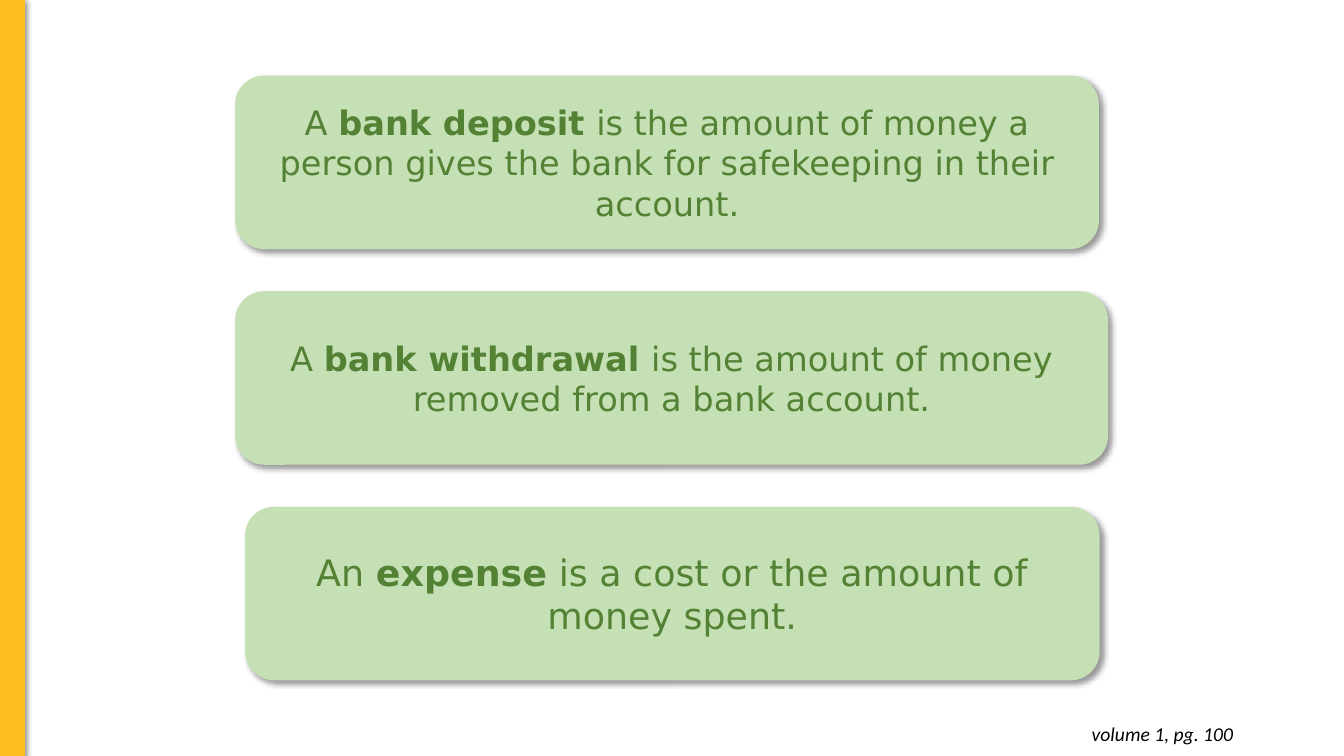
from lxml.etree import SubElement
from pptx import Presentation
from pptx.dml.color import RGBColor
from pptx.enum.shapes import MSO_SHAPE as SHAPE
from pptx.enum.text import MSO_ANCHOR as ANCHOR, MSO_AUTO_SIZE as AUTO, PP_ALIGN as ALIGN
from pptx.oxml.ns import qn
from pptx.util import Pt

COLORS = {"bar": "FCBD1E", "card": "C5E0B4", "definition": "548235", "black": "000000"}
BAR_SHADOW = {"opacity": 50, "blur": 4.5, "dist": 1.5, "angle": 90}
CARD_SHADOW = {"opacity": 40, "blur": 4, "dist": 3, "angle": 45}
CARD_TOP, CARD_STEP, CARD_HEIGHT = 54, 154, 124
# left, width, font size, text before the term, term, text after it
DEFINITIONS = [
    (168, 617, 24, "A ", "bank deposit ",
     "is the amount of money a person gives the bank for safekeeping in their account."),
    (168, 623.5, 24, "A ", "bank withdrawal ",
     "is the amount of money removed from a bank account."),
    (175, 610.5, 26, "An ", "expense", " is a cost or the amount of money spent."),
]


def rgb(name):
    return RGBColor.from_string(COLORS[name])


class SlideBuilder:
    def __init__(self, s):
        self.s = s
        self.font = "DejaVu Sans"

    def shadow(self, sp, opacity, blur, dist, angle):
        sp.shadow.inherit = False
        effects = sp._element.spPr.find(qn("a:effectLst"))
        outer = SubElement(effects, qn("a:outerShdw"), blurRad=str(Pt(blur)),
                           dist=str(Pt(dist)), dir=str(angle * 60000),
                           algn="tl", rotWithShape="0")
        color = SubElement(outer, qn("a:srgbClr"), val=COLORS["black"])
        SubElement(color, qn("a:alpha"), val=str(opacity * 1000))

    def shape(self, kind, box, fill, shadow, line=None):
        sp = self.s.shapes.add_shape(kind, *map(Pt, box))
        sp.fill.solid()
        sp.fill.fore_color.rgb = rgb(fill)
        if line:
            sp.line.color.rgb = rgb(fill)
            sp.line.width = Pt(line)
        else:
            sp.line.fill.background()
        self.shadow(sp, **shadow)
        return sp

    def run(self, p, text, color, **font):
        r = p.add_run()
        r.text = text
        r.font.color.rgb = rgb(color)
        for key, value in {"name": self.font, **font}.items():
            setattr(r.font, key, value)

    def card(self, box, size, before, term, after):
        tf = self.shape(SHAPE.ROUNDED_RECTANGLE, box, "card", CARD_SHADOW).text_frame
        tf.word_wrap = True
        tf.vertical_anchor = ANCHOR.MIDDLE
        p = tf.paragraphs[0]
        p.alignment = ALIGN.CENTER
        for text, bold in ((before, False), (term, True), (after, False)):
            self.run(p, text, "definition", size=Pt(size), bold=bold)

    def page_note(self, box, text):
        tf = self.s.shapes.add_textbox(*map(Pt, box)).text_frame
        tf.word_wrap = True
        tf.auto_size = AUTO.SHAPE_TO_FIT_TEXT
        for side in ("left", "top", "right", "bottom"):
            setattr(tf, f"margin_{side}", Pt(7.2))
        p = tf.paragraphs[0]
        p.alignment = ALIGN.RIGHT
        self.run(p, text, "black", name="Calibri", size=Pt(14), italic=True)


def main():
    prs = Presentation()
    prs.slide_width, prs.slide_height = Pt(960), Pt(540)
    builder = SlideBuilder(prs.slides.add_slide(prs.slide_layouts[6]))
    builder.shape(SHAPE.RECTANGLE, (0, -0.5, 17.5, 540.5), "bar", BAR_SHADOW, line=0.75)
    for i, (left, width, *content) in enumerate(DEFINITIONS):
        builder.card((left, CARD_TOP + i * CARD_STEP, width, CARD_HEIGHT), *content)
    builder.page_note((680.5, 508.5, 207.5, 31.5), "volume 1, pg. 100")
    prs.save("out.pptx")


if __name__ == "__main__":
    main()
